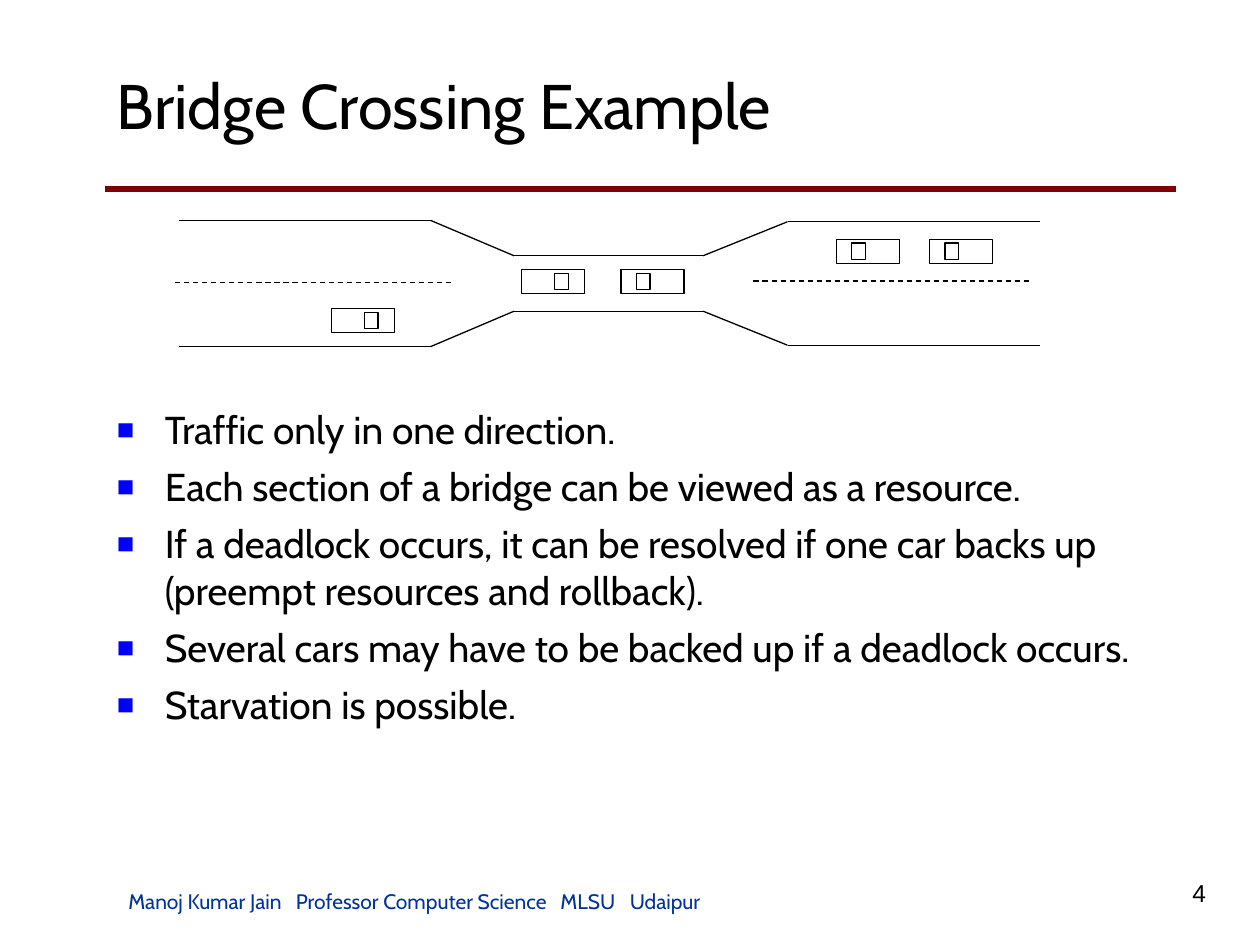
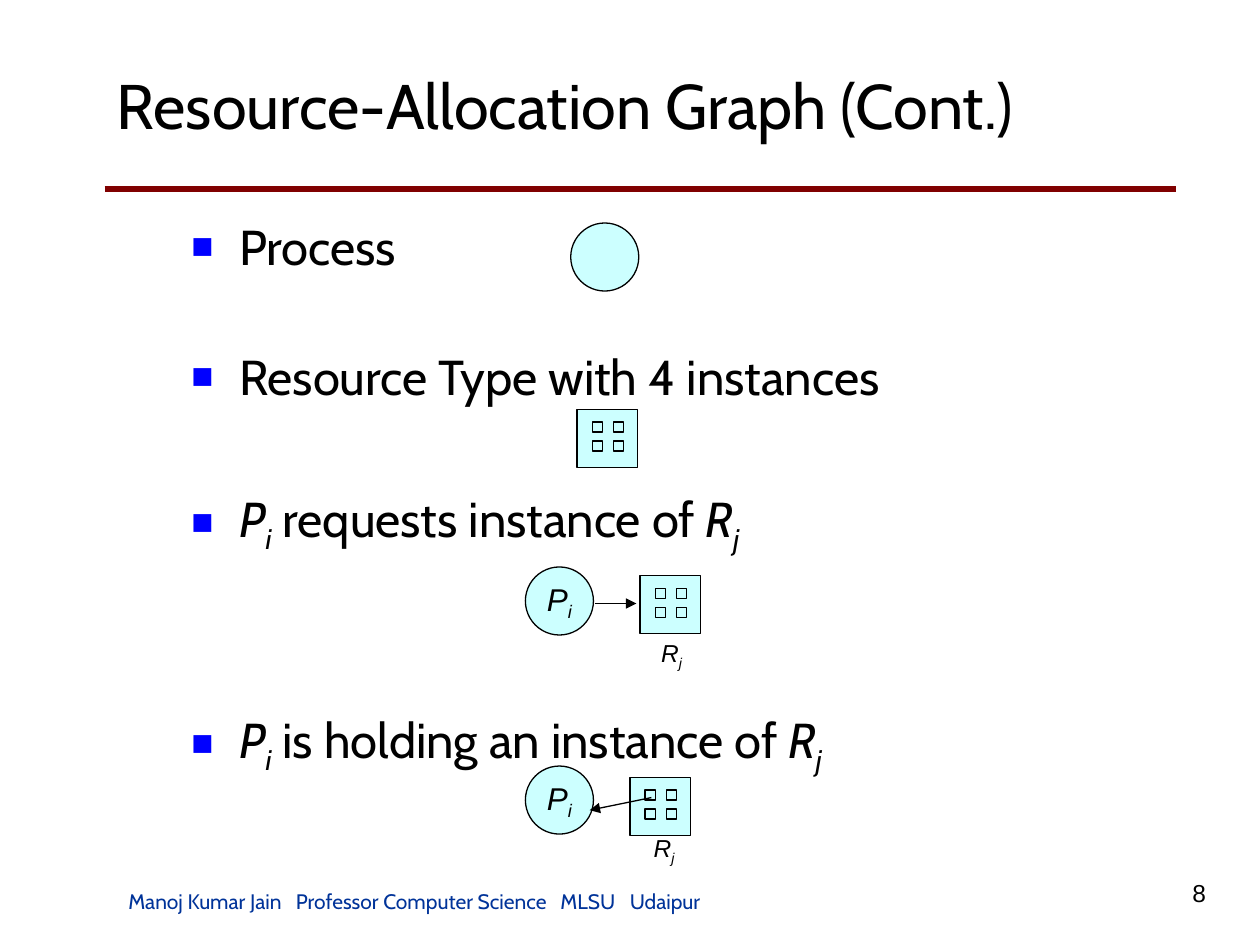
import itertools

import pptx
import pptx.util
import pptx.dml.color
import pptx.enum.dml
import pptx.enum.shapes
import pptx.enum.text
import pptx.oxml.ns
from lxml import etree

Inches = pptx.util.Inches
Pt = pptx.util.Pt
ALIGN = pptx.enum.text.PP_ALIGN
ANCHOR = pptx.enum.text.MSO_ANCHOR
SHAPE = pptx.enum.shapes.MSO_SHAPE
DASH = pptx.enum.dml.MSO_LINE.DASH

COLORS = {"text": "000000", "rule": "800000", "footer": "003399",
          "bullet": "0000FF", "car": "FFFFFF", "node": "CCFFFF"}
FOOTER = "Manoj Kumar Jain\tProfessor Computer Science\tMLSU\tUdaipur"
FOOTER_TABS = (1.33, 3.43, 3.98)
DEFAULT_FORMAT = {"name": "Cabin", "size": 28, "color": "text"}


def rgb(key):
    return pptx.dml.color.RGBColor.from_string(COLORS[key])


def add_xml(parent, tag, **attrs):
    return etree.SubElement(parent, pptx.oxml.ns.qn(tag), attrs)


def symbol(letter, index):
    """Runs of an italic letter with an italic subscript."""
    return [(letter, {"italic": True}), (index, {"italic": True, "sub": True})]


class Deck:
    def __init__(self):
        self.prs = pptx.Presentation()
        self.prs.slide_width, self.prs.slide_height = Inches(10), Inches(7.5)
        self.s = None

    def slide(self, title, number):
        """Start a slide with its title, rule, footer and number."""
        self.s = self.prs.slides.add_slide(self.prs.slide_layouts[6])
        self.line((0.83, 1.5), (9.33, 1.5), color="rule", width=3)
        tf = self.text(0.92, 7, 7.33, 0.3, FOOTER, anchor=ANCHOR.BOTTOM,
                       size=12, color="footer")
        tabs = add_xml(tf.paragraphs[0]._p.get_or_add_pPr(), "a:tabLst")
        for pos in FOOTER_TABS:
            add_xml(tabs, "a:tab", pos=str(Inches(pos)), algn="l")
        self.text(9, 6.92, 0.67, 0.33, number, align=ALIGN.RIGHT,
                  name="Arial", size=14)
        self.text(0.83, 0.33, 7.75, 1, title, anchor=ANCHOR.MIDDLE, size=36)

    def runs(self, p, content, **fmt):
        """Fill a paragraph from a string or a list of (text, format) runs."""
        for text, extra in [(content, {})] if isinstance(content, str) else content:
            values = {**DEFAULT_FORMAT, **fmt, **extra}
            r = p.add_run()
            r.text = text
            r.font.color.rgb = rgb(values.pop("color"))
            if values.pop("sub", False):
                r._r.get_or_add_rPr().set("baseline", "-25000")
            values["size"] = Pt(values["size"])
            for key, value in values.items():
                setattr(r.font, key, value)

    def text(self, x, y, w, h, content, anchor=ANCHOR.TOP, align=ALIGN.LEFT,
             **fmt):
        sp = self.s.shapes.add_textbox(Inches(x), Inches(y), Inches(w), Inches(h))
        tf = sp.text_frame
        tf.word_wrap, tf.vertical_anchor = True, anchor
        tf.paragraphs[0].alignment = align
        self.runs(tf.paragraphs[0], content, **fmt)
        return tf

    def bullets(self, x, y, w, h, items, size):
        """Add a bulleted list of (space before, content) items."""
        sp = self.s.shapes.add_textbox(Inches(x), Inches(y), Inches(w), Inches(h))
        tf = sp.text_frame
        tf.word_wrap = True
        for i, (gap, content) in enumerate(items):
            p = tf.add_paragraph() if i else tf.paragraphs[0]
            pPr = p._p.get_or_add_pPr()
            pPr.set("marL", str(Inches(0.38)))
            pPr.set("indent", str(-Inches(0.38)))
            add_xml(add_xml(pPr, "a:buClr"), "a:srgbClr", val=COLORS["bullet"])
            add_xml(pPr, "a:buSzPct", val="75000")
            add_xml(pPr, "a:buFont", typeface="Arial")
            add_xml(pPr, "a:buChar", char="■")
            p.space_before = Pt(gap)
            self.runs(p, content, size=size)

    def line(self, start, end, parent=None, color="text", width=0.75,
             dash=None, arrow=False):
        c = (parent or self.s).shapes.add_connector(
            pptx.enum.shapes.MSO_CONNECTOR.STRAIGHT,
            *(Inches(v) for v in (*start, *end)))
        c.line.color.rgb = rgb(color)
        c.line.width = Pt(width)
        if dash:
            c.line.dash_style = dash
        if arrow:
            add_xml(c.line._get_or_add_ln(), "a:tailEnd", type="triangle")
        add_xml(c._element.spPr, "a:effectLst")

    def shape(self, kind, x, y, w, h, fill, parent=None):
        sp = (parent or self.s).shapes.add_shape(
            kind, Inches(x), Inches(y), Inches(w), Inches(h))
        sp.shadow.inherit = False
        sp.fill.solid()
        sp.fill.fore_color.rgb = rgb(fill)
        sp.line.color.rgb = rgb("text")
        sp.line.width = Pt(0.75)
        return sp

    def group(self):
        return self.s.shapes.add_group_shape()

    def car(self, parent, x, y, window):
        """Add a car whose window sits at the given offset from its left."""
        self.shape(SHAPE.RECTANGLE, x, y, 0.5, 0.19, "car", parent)
        self.shape(SHAPE.RECTANGLE, x + window, y + 0.03, 0.11, 0.13, "car", parent)

    def process(self, x, y, label=None):
        sp = self.shape(SHAPE.OVAL, x, y, 0.54, 0.54, "node")
        if label:
            tf = sp.text_frame
            tf.word_wrap, tf.vertical_anchor = False, ANCHOR.MIDDLE
            tf.paragraphs[0].alignment = ALIGN.CENTER
            self.runs(tf.paragraphs[0], label, name="Arial", size=18)

    def resource(self, x, y):
        """Add a resource type with its four instances."""
        g = self.group()
        self.shape(SHAPE.RECTANGLE, x, y, 0.48, 0.46, "node", g)
        for dy, dx in itertools.product((0.1, 0.25), (0.12, 0.29)):
            self.shape(SHAPE.RECTANGLE, x + dx, y + dy, 0.08, 0.08, "node", g)

    def resource_label(self, x, y):
        tf = self.text(x, y, 0.36, 0.37, symbol("R", "j"), anchor=ANCHOR.MIDDLE,
                       align=ALIGN.CENTER, name="Arial", size=14)
        tf.word_wrap = False
        tf.margin_left = tf.margin_right = 0


def bridge_slide(deck):
    deck.slide("Bridge Crossing Example", "4")
    deck.bullets(0.83, 3.17, 8.83, 3.25, [
        (0, "Traffic only in one direction."),
        (6, "Each section of a bridge can be viewed as a resource."),
        (6, "If a deadlock occurs, it can be resolved if one car backs up "
            "(preempt resources and rollback)."),
        (6, "Several cars may have to be backed up if a deadlock occurs."),
        (6, "Starvation is possible."),
    ], size=22.2)

    road = deck.group()
    top_edge = [(1.42, 1.75), (3.42, 1.75), (4.08, 2.03),
                (5.58, 2.03), (6.25, 1.76), (8.25, 1.76)]
    bottom_edge = [(x, 4.5 - y) for x, y in top_edge]
    for edge in (top_edge, bottom_edge):
        for start, end in zip(edge, edge[1:]):
            deck.line(start, end, road)
    for x, y in ((1.39, 2.24), (5.98, 2.23)):
        deck.line((x, y), (x + 2.2, y), road, dash=DASH)
    rightward, leftward = 0.26, 0.12
    for x, y, window in ((2.63, 2.45, rightward), (4.14, 2.14, rightward),
                         (4.93, 2.14, leftward), (6.64, 1.9, leftward),
                         (7.38, 1.9, leftward)):
        deck.car(road, x, y, window)


def graph_slide(deck):
    deck.slide("Resource-Allocation Graph (Cont.)", "8")
    process, resource = symbol("P", "i"), symbol("R", "j")
    deck.bullets(1.42, 1.67, 7.69, 5.08, [
        (0, "Process"),
        (40.5, "Resource Type with 4 instances"),
        (47.5, [*process, (" requests instance of ", {}), *resource]),
        (88, [*process, (" is holding an instance of ", {}), *resource]),
    ], size=28)

    deck.process(4.53, 1.77)
    deck.resource(4.58, 3.25)

    deck.process(4.17, 4.5, process)
    deck.resource(5.08, 4.57)
    deck.line((4.72, 4.79), (5.05, 4.79), arrow=True)
    deck.resource_label(5.15, 5.01)

    deck.process(4.17, 6.08, process)
    deck.resource(5, 6.17)
    deck.line((5.17, 6.33), (4.68, 6.43), arrow=True)
    deck.resource_label(5.09, 6.56)


def main():
    deck = Deck()
    bridge_slide(deck)
    graph_slide(deck)
    deck.prs.save("out.pptx")


if __name__ == "__main__":
    main()
